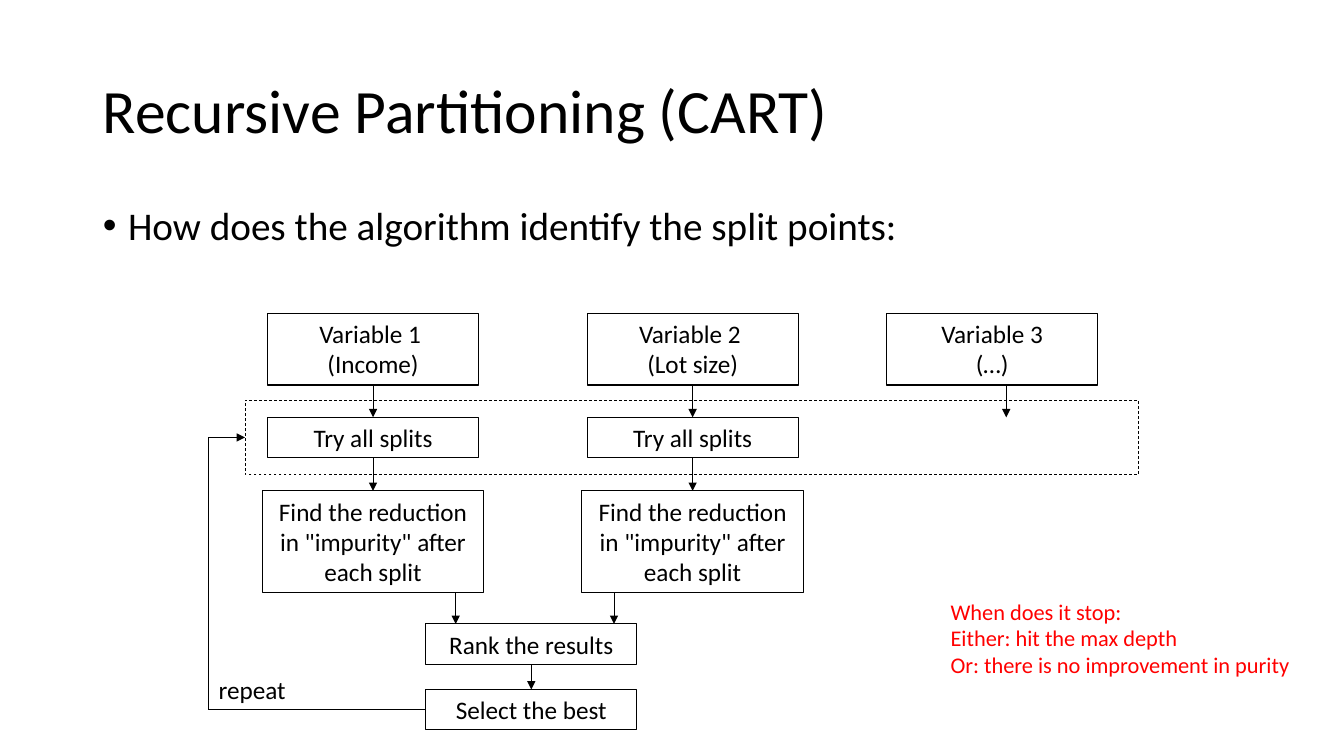
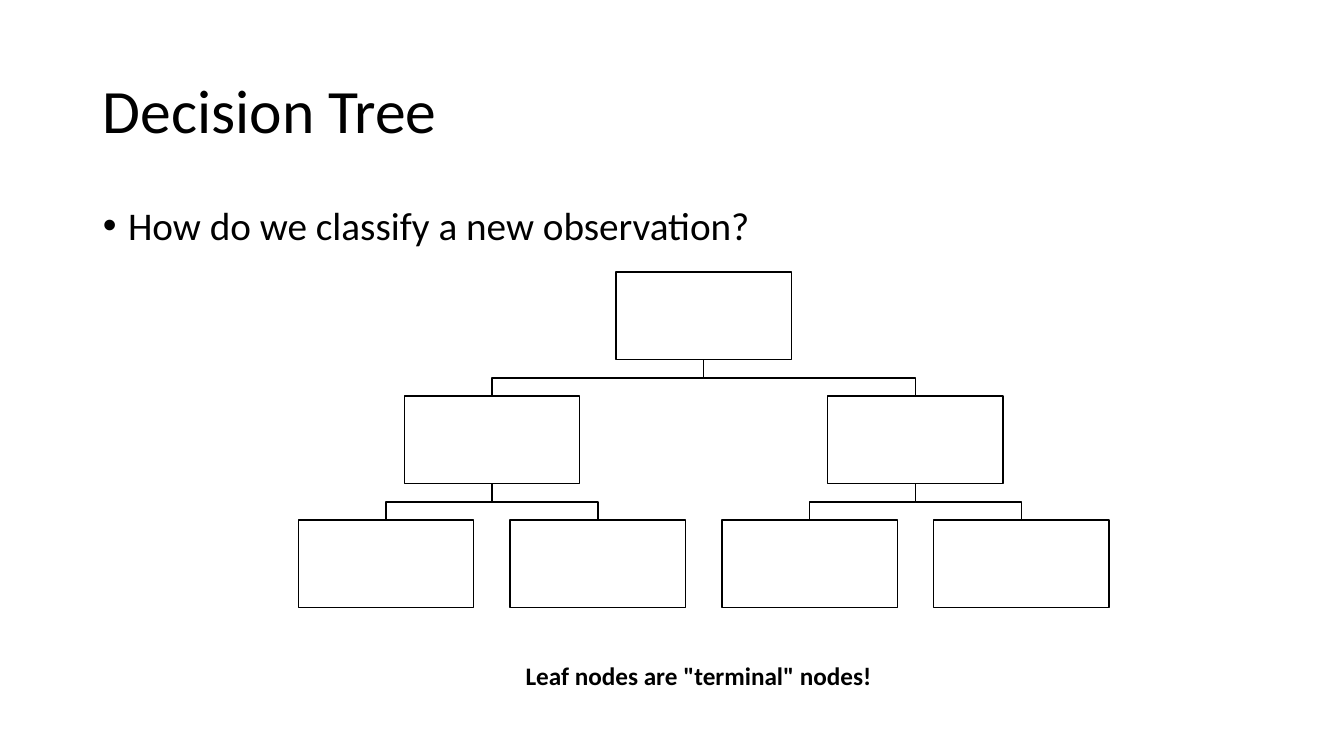
from dataclasses import dataclass
from itertools import pairwise

from lxml.etree import SubElement
from pptx import Presentation
from pptx.dml.color import RGBColor
from pptx.enum.dml import MSO_LINE_DASH_STYLE as Dash
from pptx.enum.shapes import MSO_CONNECTOR as Connector, MSO_SHAPE as Preset
from pptx.enum.text import MSO_ANCHOR as Anchor, MSO_AUTO_SIZE as AutoSize, PP_ALIGN as Align
from pptx.oxml.ns import qn
from pptx.util import Inches, Pt


@dataclass(frozen=True)
class Theme:
    font: str = "Calibri"
    ink: RGBColor = RGBColor(0, 0, 0)
    paper: RGBColor = RGBColor(255, 255, 255)
    accent: RGBColor = RGBColor(255, 0, 0)
    title_size: int = 44
    body_size: int = 28
    label_size: int = 18
    note_size: int = 16
    arrow_line: float = 0.5
    box_line: float = 0.75
    tree_line: float = 1


@dataclass(frozen=True)
class Row:
    """One row of the flow chart: its top, and the size of its boxes."""
    top: float
    height: float
    width: float = 2.09

    @property
    def bottom(self):
        return self.top + self.height

    @property
    def middle(self):
        return self.top + self.height / 2


THEME = Theme()
SLIDE_SIZE = (13.33, 7.5)
TITLE_AREA = (0.92, 0.4, 11.5, 1.45)
BODY_AREA = (0.92, 2, 11.5, 4.76)

# Flow chart grid: centres of the columns, then the rows
INCOME, LOT_SIZE, OTHER, MERGED = 3.7, 6.87, 9.84, 5.27
VARIABLES = Row(3.11, 0.71)
SPLITS = Row(4.14, 0.4)
IMPURITY = Row(4.87, 1.01, 2.2)
RANKING = Row(6.19, 0.4)
BEST = Row(6.84, 0.4)
SPLIT_FRAME = (2.43, 3.97, 8.86, 0.74)
LOOP_LEFT = 2.07

# Tree grid
TREE_CENTRE, TREE_TOP, TREE_SPAN = 6.98, 2.7, 8.4
TREE_LEVELS, LEVEL_STEP = 3, 1.23
NODE_WIDTH, NODE_HEIGHT = 1.74, 0.87


def inches(*lengths):
    return [Inches(length) for length in lengths]


def write(frame, lines, size, color=THEME.ink, align=Align.LEFT, bold=False):
    for index, line in enumerate(lines):
        paragraph = frame.add_paragraph() if index else frame.paragraphs[0]
        paragraph.alignment = align
        run = paragraph.add_run()
        run.text = line
        run.font.name = THEME.font
        run.font.size = Pt(size)
        run.font.bold = bold
        run.font.color.rgb = color


def set_line(shape, width):
    shape.line.color.rgb = THEME.ink
    shape.line.width = Pt(width)


def place(placeholder, area, anchor):
    placeholder.left, placeholder.top, placeholder.width, placeholder.height = inches(*area)
    placeholder.text_frame.vertical_anchor = anchor
    placeholder.text_frame.auto_size = AutoSize.NONE


def add_slide(presentation, title, question):
    slide = presentation.slides.add_slide(presentation.slide_layouts[1])
    heading, body = slide.placeholders
    place(heading, TITLE_AREA, Anchor.MIDDLE)
    write(heading.text_frame, [title], THEME.title_size)
    heading.text_frame.paragraphs[0].line_spacing = 0.9

    place(body, BODY_AREA, Anchor.TOP)
    write(body.text_frame, [question], THEME.body_size)
    paragraph = body.text_frame.paragraphs[0]
    paragraph.line_spacing = 0.9
    paragraph.space_before = Pt(10)
    properties = paragraph._p.get_or_add_pPr()
    properties.set("marL", str(Inches(0.25)))
    properties.set("indent", str(Inches(-0.25)))
    SubElement(properties, qn("a:buChar")).set("char", "•")
    return slide


def add_rectangle(slide, area, line_width, fill=None):
    rectangle = slide.shapes.add_shape(Preset.RECTANGLE, *inches(*area))
    rectangle.shadow.inherit = False
    set_line(rectangle, line_width)
    if fill is None:
        rectangle.fill.background()
    else:
        rectangle.fill.solid()
        rectangle.fill.fore_color.rgb = fill
    return rectangle


def add_step(slide, centre, row, *lines):
    area = (centre - row.width / 2, row.top, row.width, row.height)
    frame = add_rectangle(slide, area, THEME.box_line).text_frame
    frame.word_wrap = True
    frame.vertical_anchor = Anchor.TOP
    frame.auto_size = AutoSize.SHAPE_TO_FIT_TEXT
    write(frame, lines, THEME.label_size, align=Align.CENTER)


def add_note(slide, area, lines, size, **style):
    frame = slide.shapes.add_textbox(*inches(*area)).text_frame
    frame.word_wrap = True
    frame.auto_size = AutoSize.SHAPE_TO_FIT_TEXT
    write(frame, lines, size, **style)


def add_line(slide, start, end, arrow=False):
    connector = slide.shapes.add_connector(Connector.STRAIGHT, *inches(*start, *end))
    set_line(connector, THEME.arrow_line)
    properties = connector._element.spPr
    if arrow:
        SubElement(properties.find(qn("a:ln")), qn("a:tailEnd")).set("type", "triangle")
    SubElement(properties, qn("a:effectLst"))


def add_down_arrow(slide, x, upper, lower):
    add_line(slide, (x, upper.bottom), (x, lower.top), arrow=True)


def add_flow_chart(slide):
    columns = [
        (INCOME, "Variable 1 ", "(Income)", 4.52),
        (LOT_SIZE, "Variable 2 ", "(Lot size)", 6.09),
    ]
    for centre, variable, meaning, merge_x in columns:
        add_step(slide, centre, VARIABLES, variable, meaning)
        add_step(slide, centre, SPLITS, "Try all splits")
        add_step(slide, centre, IMPURITY, 'Find the reduction in "impurity" after each split')
        add_down_arrow(slide, centre, VARIABLES, SPLITS)
        add_down_arrow(slide, centre, SPLITS, IMPURITY)
        add_down_arrow(slide, merge_x, IMPURITY, RANKING)

    add_step(slide, OTHER, VARIABLES, "Variable 3", "(…)")
    add_down_arrow(slide, 9.98, VARIABLES, SPLITS)
    add_step(slide, MERGED, RANKING, "Rank the results")
    add_step(slide, MERGED, BEST, "Select the best")
    add_down_arrow(slide, MERGED, RANKING, BEST)
    add_rectangle(slide, SPLIT_FRAME, THEME.arrow_line).line.dash_style = Dash.DASH


def add_repeat_loop(slide):
    corners = [
        (MERGED - BEST.width / 2, BEST.middle),
        (LOOP_LEFT, BEST.middle),
        (LOOP_LEFT, SPLITS.middle),
        (SPLIT_FRAME[0], SPLITS.middle),
    ]
    for start, end in pairwise(corners):
        add_line(slide, start, end, arrow=end == corners[-1])
    add_note(slide, (LOOP_LEFT, 6.64, 0.99, 0.4), ["repeat"], THEME.label_size)


def node_position(level, index):
    """Return the centre and the top of a tree node."""
    count = 2 ** level
    offset = (index - (count - 1) / 2) * TREE_SPAN / count
    return TREE_CENTRE + offset, TREE_TOP + level * LEVEL_STEP


def add_branch(slide, level, index):
    """Draw the elbow from a node's parent down to the node."""
    x, top = node_position(level, index)
    parent_x, parent_top = node_position(level - 1, index // 2)
    parent_bottom = parent_top + NODE_HEIGHT
    bend = (parent_bottom + top) / 2
    builder = slide.shapes.build_freeform(*inches(parent_x, parent_bottom))
    corners = [(parent_x, bend), (x, bend), (x, top)]
    builder.add_line_segments([inches(*corner) for corner in corners], close=False)
    branch = builder.convert_to_shape()
    branch.shadow.inherit = False
    branch.fill.background()
    set_line(branch, THEME.tree_line)


def add_tree(slide):
    for level in range(TREE_LEVELS):
        for index in range(2 ** level):
            if level:
                add_branch(slide, level, index)
            x, top = node_position(level, index)
            area = (x - NODE_WIDTH / 2, top, NODE_WIDTH, NODE_HEIGHT)
            add_rectangle(slide, area, THEME.tree_line, THEME.paper)


def main():
    presentation = Presentation()
    presentation.slide_width, presentation.slide_height = inches(*SLIDE_SIZE)

    slide = add_slide(presentation, "Recursive Partitioning (CART)",
                      "How does the algorithm identify the split points:")
    add_flow_chart(slide)
    add_repeat_loop(slide)
    stop_rules = ["When does it stop:", "Either: hit the max depth",
                  "Or: there is no improvement in purity"]
    add_note(slide, (9.33, 5.88, 3.67, 0.91), stop_rules, THEME.note_size, color=THEME.accent)

    slide = add_slide(presentation, "Decision Tree", "How do we classify a new observation?")
    add_tree(slide)
    add_note(slide, (5.08, 6.5, 3.7, 0.4), ['Leaf nodes are "terminal" nodes!'],
             THEME.label_size, align=Align.CENTER, bold=True)

    presentation.save("out.pptx")


if __name__ == "__main__":
    main()
